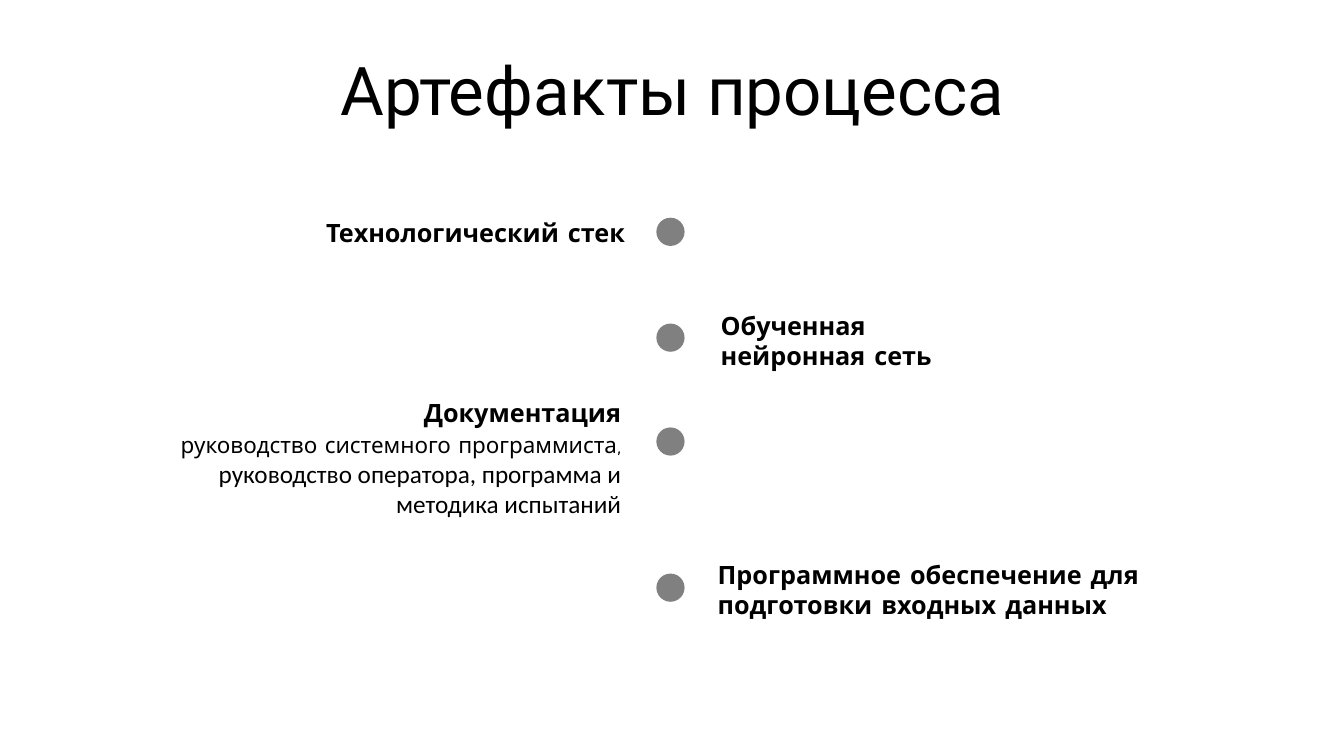
import pptx
import pptx.dml.color
import pptx.enum.shapes
import pptx.enum.text
import pptx.util

Inches = pptx.util.Inches
Align = pptx.enum.text.PP_ALIGN
Anchor = pptx.enum.text.MSO_ANCHOR


def color(code):
    return pptx.dml.color.RGBColor.from_string(code)


def format_with(target, values):
    for name, value in values.items():
        setattr(target, name, value)


class TimelineSlide:
    INK = "000000"
    DOT = "808080"
    DOT_LEFT, DOT_SIZE = 6.51, 0.28
    TITLE = {"name": "Roboto", "size": pptx.util.Pt(48)}
    HEADING = {"name": "Comic Neue", "size": pptx.util.Pt(18), "bold": True}
    DETAIL = {"name": "Comic Neue", "size": pptx.util.Pt(16)}
    DETAIL_MORE = {"name": "Calibri", "size": pptx.util.Pt(18)}

    def __init__(self, deck):
        self.page = deck.slides.add_slide(deck.slide_layouts[5])

    def fill_text(self, box, spans, align, anchor=Anchor.TOP, spacing=1.0):
        """Fill a box with one paragraph made of (text, font values) spans."""
        format_with(box.text_frame, {
            "word_wrap": True,
            "auto_size": pptx.enum.text.MSO_AUTO_SIZE.NONE,
            "vertical_anchor": anchor,
        })
        para = box.text_frame.paragraphs[0]
        format_with(para, {"alignment": align, "line_spacing": spacing})
        for text, font in spans:
            span = para.add_run()
            span.text = text
            format_with(span.font, font)
            span.font.color.rgb = color(self.INK)

    def title(self, text, left, top, width, height):
        box = self.page.shapes.title
        format_with(box, {"left": Inches(left), "top": Inches(top),
                          "width": Inches(width), "height": Inches(height)})
        self.fill_text(box, [(text, self.TITLE)], Align.CENTER, spacing=1.5)

    def label(self, spans, place, align, anchor=Anchor.TOP):
        box = self.page.shapes.add_textbox(*map(Inches, place))
        self.fill_text(box, spans, align, anchor)

    def heading(self, text, place, align):
        self.label([(text, self.HEADING)], place, align)

    def dot(self, top):
        size = Inches(self.DOT_SIZE)
        dot = self.page.shapes.add_shape(
            pptx.enum.shapes.MSO_SHAPE.OVAL,
            Inches(self.DOT_LEFT), Inches(top), size, size)
        dot.shadow.inherit = False
        dot.fill.solid()
        dot.fill.fore_color.rgb = color(self.DOT)
        dot.line.fill.background()


def main():
    deck = pptx.Presentation()
    format_with(deck, {"slide_width": Inches(13.33),
                       "slide_height": Inches(7.5)})
    slide = TimelineSlide(deck)
    slide.title("Артефакты процесса", 0.46, 0.03, 12.42, 1.18)

    artifacts = [
        (2.16, "Технологический стек", (2.66, 2.11, 3.64, 0.4), Align.RIGHT),
        (3.21, "Обученная нейронная сеть", (7.05, 3.03, 2.87, 0.71), Align.LEFT),
        (4.24, "Документация", (1.59, 3.89, 4.67, 0.48), Align.RIGHT),
        (5.69, "Программное обеспечение для подготовки входных данных",
         (7.02, 5.5, 4.8, 0.71), Align.LEFT),
    ]
    for dot_top, text, place, align in artifacts:
        slide.dot(dot_top)
        slide.heading(text, place, align)

    slide.label(
        [("руководство системного программиста, ", slide.DETAIL),
         ("руководство оператора, программа и методика испытаний",
          slide.DETAIL_MORE)],
        (1.59, 4.13, 4.67, 1.16), Align.RIGHT, Anchor.MIDDLE)
    deck.save("out.pptx")


if __name__ == "__main__":
    main()
